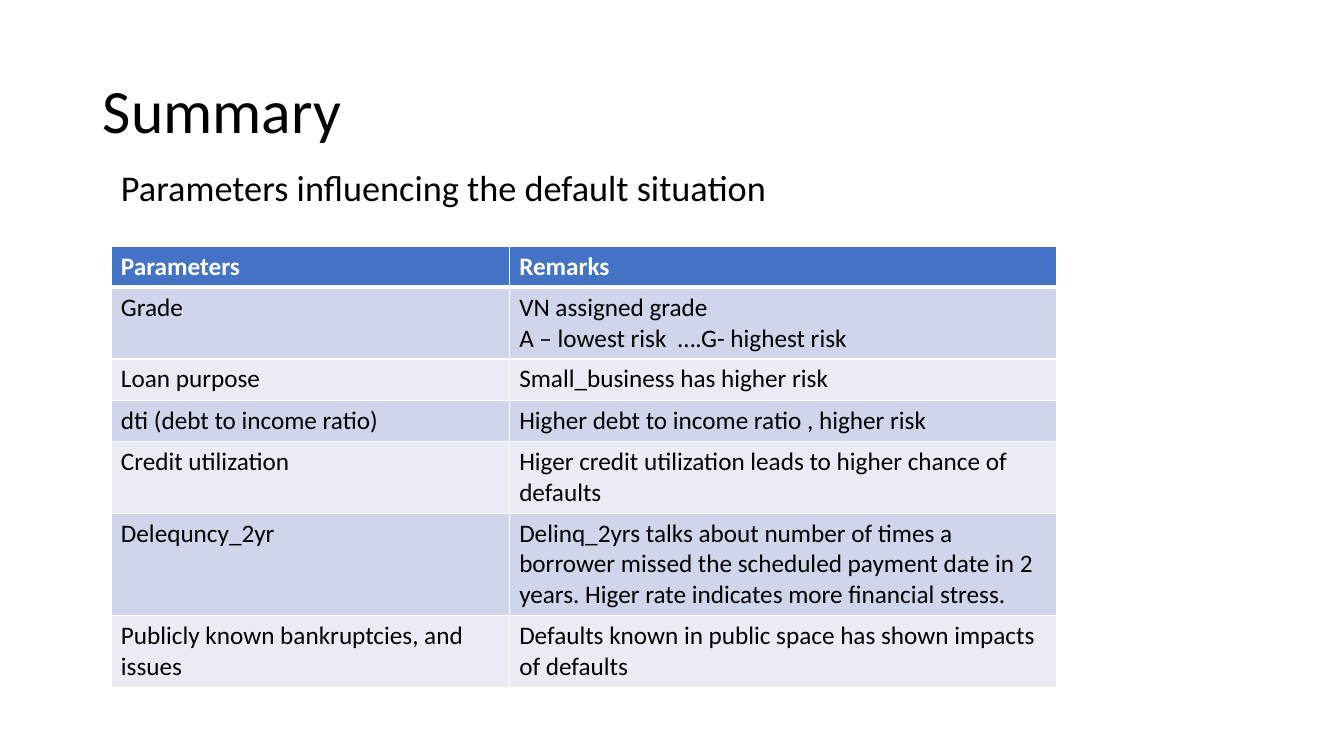
from dataclasses import dataclass

from lxml import etree
from pptx import Presentation
from pptx.dml.color import RGBColor
from pptx.enum.text import MSO_ANCHOR, MSO_AUTO_SIZE, PP_ALIGN
from pptx.oxml.ns import qn
from pptx.util import Inches, Pt

LEFT = PP_ALIGN.LEFT
TOP, MIDDLE = MSO_ANCHOR.TOP, MSO_ANCHOR.MIDDLE
NO_FIT = MSO_AUTO_SIZE.NONE


@dataclass(frozen=True)
class Theme:
    font: str = "Calibri"
    title_size: float = 44
    lead_size: float = 25.9
    table_size: float = 18
    ink: str = "000000"
    white: str = "FFFFFF"
    header: str = "4472C4"
    bands: tuple = ("CFD5EA", "E9EBF5")


theme = Theme()


def style_text(frame, size, color, bold=False):
    for para in frame.paragraphs:
        para.alignment = LEFT
        for span in para.runs:
            span.font.name = theme.font
            span.font.size = Pt(size)
            span.font.bold = bold
            span.font.color.rgb = RGBColor.from_string(color)


def add_borders(cell, bottom_width):
    """Draw white lines on all four sides of a cell."""
    properties = cell._tc.get_or_add_tcPr()
    widths = {"a:lnL": 1, "a:lnR": 1, "a:lnT": 1, "a:lnB": bottom_width}
    for position, (side, width) in enumerate(widths.items()):
        line = etree.Element(qn(side), w=str(Pt(width)))
        fill = etree.SubElement(line, qn("a:solidFill"))
        etree.SubElement(fill, qn("a:srgbClr"), val=theme.white)
        properties.insert(position, line)


deck = Presentation()
deck.slide_width, deck.slide_height = Inches(13.33), Inches(7.5)
page = deck.slides.add_slide(deck.slide_layouts[1])

# Content column shared by the lead line and the table
content_left = Inches(1.1)
column_widths = [Inches(3.95), Inches(5.43)]
content_width = sum(column_widths)

# Title
title = page.shapes.title
title.left, title.top = Inches(0.92), Inches(0.4)
title.width, title.height = Inches(11.5), Inches(1.45)
title.text_frame.text = "Summary"
title.text_frame.auto_size = NO_FIT
title.text_frame.vertical_anchor = MIDDLE
title.text_frame.paragraphs[0].line_spacing = 0.9
style_text(title.text_frame, theme.title_size, theme.ink)

# Lead line
lead = page.placeholders[1]
lead.left, lead.top = content_left, Inches(1.71)
lead.width, lead.height = content_width, Inches(0.79)
lead.text_frame.text = "Parameters influencing the default situation"
lead.text_frame.auto_size = NO_FIT
lead.text_frame.vertical_anchor = TOP
para = lead.text_frame.paragraphs[0]
para.line_spacing = 0.7
para.space_before = Pt(10)
style_text(lead.text_frame, theme.lead_size, theme.ink)
bullet = para._p.get_or_add_pPr()
bullet.set("marL", "0")
bullet.set("indent", "0")
etree.SubElement(bullet, qn("a:buNone"))

# Parameter table
rows = [
    ("Parameters", "Remarks"),
    ("Grade", "VN assigned grade\nA – lowest risk  ….G- highest risk"),
    ("Loan purpose", "Small_business has higher risk"),
    ("dti (debt to income ratio)", "Higher debt to income ratio , higher risk"),
    ("Credit utilization",
     "Higer credit utilization leads to higher chance of defaults"),
    ("Delequncy_2yr",
     "Delinq_2yrs talks about number of times a borrower missed the scheduled "
     "payment date in 2 years. Higer rate indicates more financial stress."),
    ("Publicly known bankruptcies, and issues",
     "Defaults known in public space has shown impacts of defaults"),
]
row_height = Inches(0.41)
table = page.shapes.add_table(
    len(rows), len(column_widths), content_left, Inches(2.44),
    content_width, row_height * len(rows)).table
for column, width in zip(table.columns, column_widths):
    column.width = width

for row_number, texts in enumerate(rows):
    is_header = row_number == 0
    fill = theme.header if is_header else theme.bands[(row_number - 1) % 2]
    ink = theme.white if is_header else theme.ink
    for column_number, text in enumerate(texts):
        cell = table.cell(row_number, column_number)
        cell.text_frame.text = text
        style_text(cell.text_frame, theme.table_size, ink, bold=is_header)
        cell.fill.solid()
        cell.fill.fore_color.rgb = RGBColor.from_string(fill)
        add_borders(cell, bottom_width=3 if is_header else 1)

deck.save("out.pptx")
